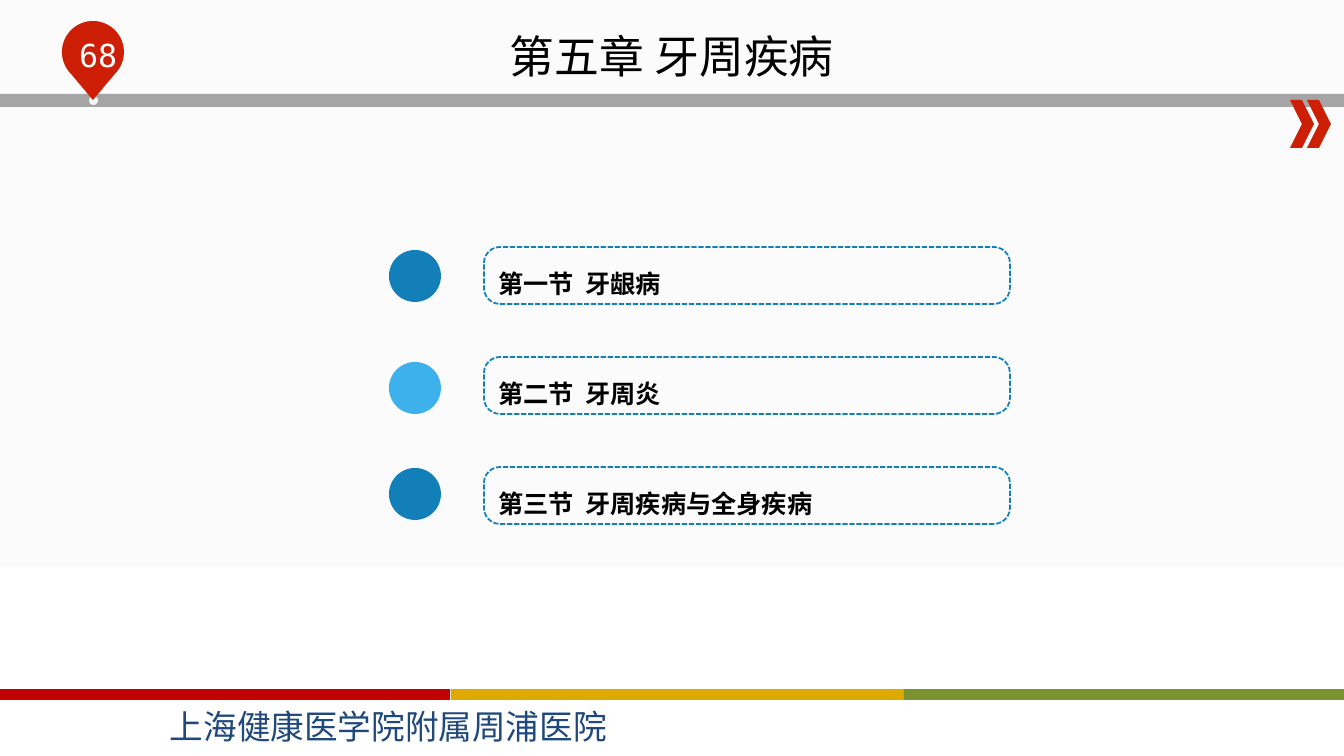
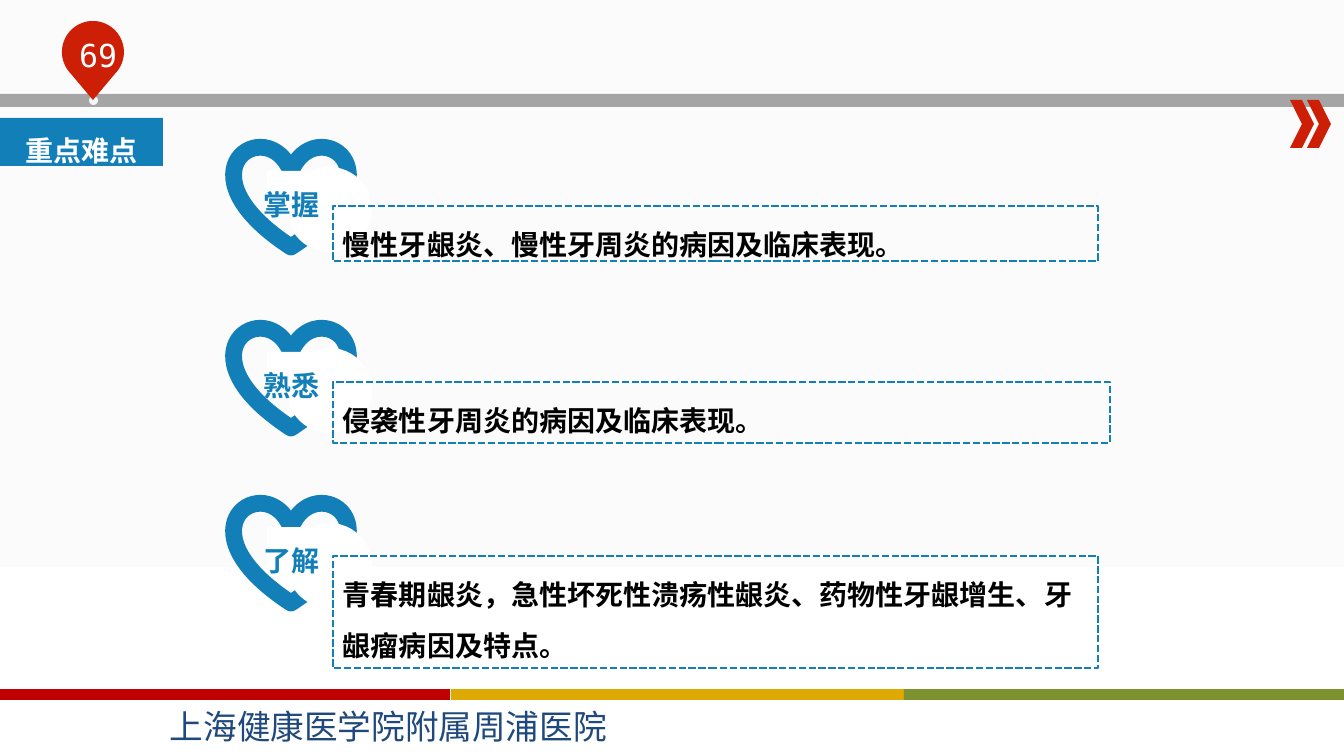
from math import cos, radians, sin

from lxml.etree import SubElement
from pptx import Presentation
from pptx.dml.color import RGBColor
from pptx.enum.dml import MSO_LINE
from pptx.enum.shapes import MSO_SHAPE
from pptx.enum.text import MSO_ANCHOR, MSO_AUTO_SIZE, PP_ALIGN
from pptx.oxml.ns import qn
from pptx.util import Pt

PX = 914400 / 100.8
WIDTH, HEIGHT = 1344, 756
BLUE, SKY, RED, WHITE, BLACK = "127FB8", "3CB1EC", "CD1F06", "FFFFFF", "000000"
CJK, SERIF, MONO = "Noto Sans CJK SC", "Times New Roman", "DejaVu Sans Mono"

HOSPITAL = "上海健康医学院附属周浦医院"
FOOTER_BARS = [(0, 450, "C00000"), (451, 904, "DEA900"), (904, WIDTH, "7C912F")]

CHAPTER = "第五章 牙周疾病"
SECTIONS = [  # number, name, dot top, dot colour
    ("第一节", "牙龈病", 250, BLUE),
    ("第二节", "牙周炎", 362, SKY),
    ("第三节", "牙周疾病与全身疾病", 468, BLUE),
]

KEY_POINTS = "重点难点"
GOALS = [  # level, heart top, mask height, text box (top, width, height), text
    ("掌握", 146, 35, (206, 765, 55), "慢性牙龈炎、慢性牙周炎的病因及临床表现。"),
    ("熟悉", 327, 23, (382, 777, 61), "侵袭性牙周炎的病因及临床表现。"),
    ("了解", 502, 46, (556, 765, 112),
     "青春期龈炎，急性坏死性溃疡性龈炎、药物性牙龈增生、牙龈瘤病因及特点。"),
]


def emu(*lengths):
    return [round(n * PX) for n in lengths]


def rgb(color):
    return RGBColor.from_string(color)


def paint(sp, fill=None, line=None, width=1, dash=None):
    sp.shadow.inherit = False
    if fill:
        sp.fill.solid()
        sp.fill.fore_color.rgb = rgb(fill)
    else:
        sp.fill.background()
    if line:
        sp.line.color.rgb = rgb(line)
        sp.line.width = Pt(width)
        sp.line.dash_style = dash
    else:
        sp.line.fill.background()
    return sp


def add_shape(s, kind, box, **style):
    return paint(s.shapes.add_shape(kind, *emu(*box)), **style)


def add_box(s, box):
    return s.shapes.add_textbox(*emu(*box))


def write(sp, text, size=20, color=BLACK, font=SERIF, bold=False, align=PP_ALIGN.LEFT,
          anchor=MSO_ANCHOR.TOP, spacing=None, wrap=True, tab=None):
    tf = sp.text_frame
    tf.word_wrap = wrap
    tf.auto_size = MSO_AUTO_SIZE.NONE
    tf.vertical_anchor = anchor
    p = tf.paragraphs[0]
    if tab:
        tabs = SubElement(p._p.get_or_add_pPr(), qn("a:tabLst"))
        SubElement(tabs, qn("a:tab"), pos=str(emu(tab)[0]), algn="l")
    p.alignment = align
    if spacing:
        p.line_spacing = spacing
    r = p.add_run()
    r.text = text
    r.font.size = Pt(size)
    r.font.bold = bold
    r.font.name = font
    r.font.color.rgb = rgb(color)
    SubElement(r._r.get_or_add_rPr(), qn("a:ea"), typeface=CJK)


def add_pin(s, cx, cy, radius, tip):
    """Draw a map pin: a circle open by a quarter below, closed at the tip."""
    arc = [(cx + radius * cos(radians(a)), cy + radius * sin(radians(a)))
           for a in range(135, 406, 5)]
    points = [tuple(emu(x, y)) for x, y in arc + [(cx, tip)]]
    outline = s.shapes.build_freeform(*points[0], scale=1.0)
    outline.add_line_segments(points[1:], close=True)
    paint(outline.convert_to_shape(), fill=RED)


def add_slide(prs, number, title, box, **title_format):
    s = prs.slides.add_slide(prs.slide_layouts[5])
    sp = s.shapes.title
    sp.left, sp.top, sp.width, sp.height = emu(*box)
    write(sp, title, align=PP_ALIGN.CENTER, **title_format)

    add_shape(s, MSO_SHAPE.RECTANGLE, (0, 94, WIDTH, 13), fill="A5A5A5")
    for left in (1290, 1307):
        add_shape(s, MSO_SHAPE.CHEVRON, (left, 100, 24, 48), fill=RED)
    add_shape(s, MSO_SHAPE.OVAL, (89, 96, 9, 9), fill="F6F6F6")
    add_pin(s, 93, 52, 31, 100)
    write(add_box(s, (54, 31, 88, 41)), str(number), size=22.6, color=WHITE, font=MONO,
          align=PP_ALIGN.CENTER)

    for left, right, color in FOOTER_BARS:
        add_shape(s, MSO_SHAPE.RECTANGLE, (left, 689, right - left, 11), fill=color)
    write(add_box(s, (160, 701, 457, 50)), HOSPITAL, size=24, color="1F497D", font=CJK,
          wrap=False)
    return s


def build_chapter(prs):
    s = add_slide(prs, 68, CHAPTER, (67, 30, 1210, 126), size=32, font=CJK, spacing=0.9)
    for i, (number, name, dot_top, color) in enumerate(SECTIONS):
        add_shape(s, MSO_SHAPE.OVAL, (389, dot_top, 52, 52), fill=color)
        sp = add_shape(s, MSO_SHAPE.ROUNDED_RECTANGLE, (484, 247 + 110 * i, 526, 57),
                       line=BLUE, width=1.25, dash=MSO_LINE.SQUARE_DOT)
        sp.adjustments[0] = 0.28
        write(sp, f"{number}\t{name}", size=18, bold=True, anchor=MSO_ANCHOR.MIDDLE,
              spacing=1.5, tab=87)


def build_goals(prs):
    s = add_slide(prs, 69, KEY_POINTS, (0, 118, 163, 48), color=WHITE, bold=True,
                  anchor=MSO_ANCHOR.MIDDLE, spacing=1.5)
    paint(s.shapes.title, fill=BLUE)
    for level, top, mask_height, (box_top, width, height), text in GOALS:
        add_shape(s, MSO_SHAPE.HEART, (234, top, 114, 101), line=BLUE, width=12)
        add_shape(s, MSO_SHAPE.OVAL, (287, top + 21, 85, 85), fill=WHITE)
        add_shape(s, MSO_SHAPE.RECTANGLE, (267, top + 25, 46, mask_height), fill=WHITE)
        write(add_box(s, (229, top + 26, 126, 48)), level, color=BLUE, bold=True,
              align=PP_ALIGN.CENTER, anchor=MSO_ANCHOR.MIDDLE, spacing=1.5)
        sp = add_shape(s, MSO_SHAPE.RECTANGLE, (333, box_top, width, height),
                       line=BLUE, width=1.75, dash=MSO_LINE.SQUARE_DOT)
        write(sp, text, bold=True, spacing=1.5)


def main():
    prs = Presentation()
    prs.slide_width, prs.slide_height = emu(WIDTH, HEIGHT)
    fill = prs.slide_master.background.fill
    fill.gradient()
    fill.gradient_angle = 270
    for stop, position, color in zip(fill.gradient_stops, (0.5, 1), ("FBFBFB", WHITE)):
        stop.position = position
        stop.color.rgb = rgb(color)
    build_chapter(prs)
    build_goals(prs)
    prs.save("out.pptx")


if __name__ == "__main__":
    main()
